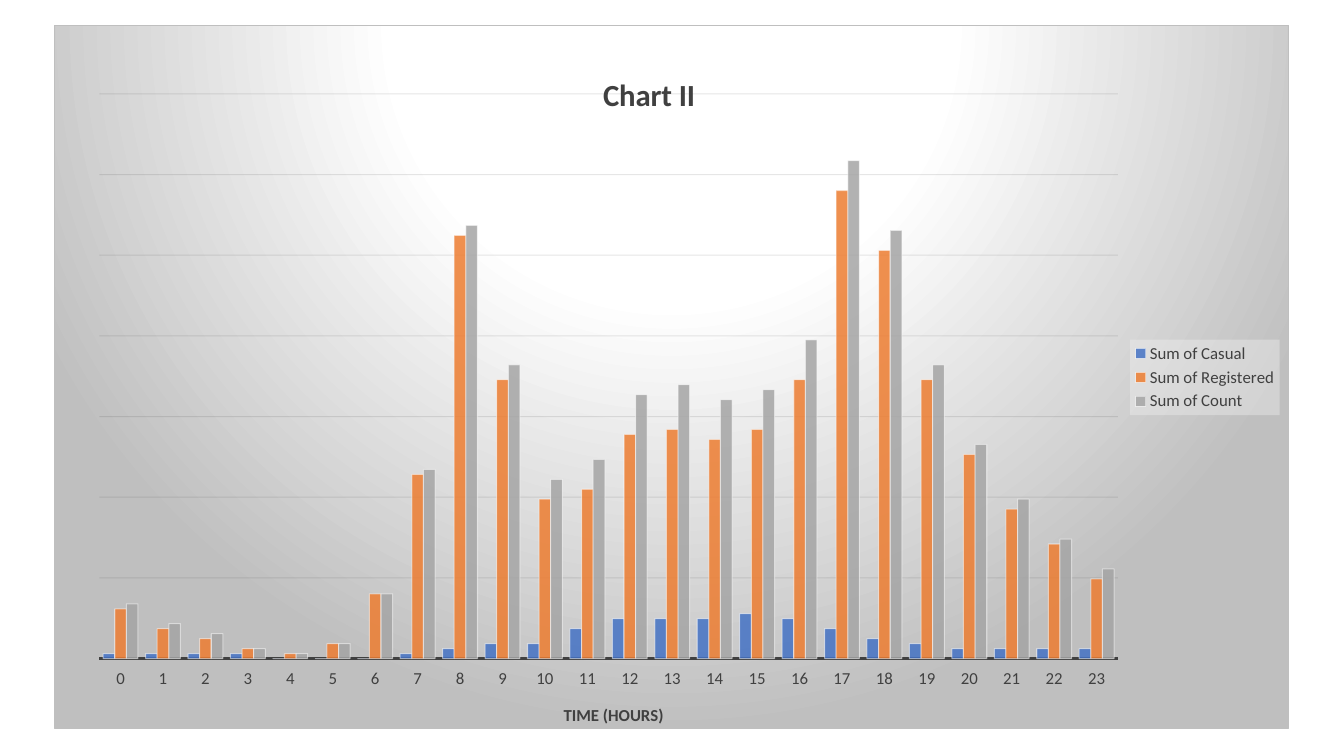
"""Build a slide with a clustered column chart of rentals by hour of day."""
from dataclasses import dataclass
from typing import Any

from pptx import Presentation
from pptx.chart.data import CategoryChartData as ChartData
from pptx.dml.color import RGBColor as Rgb
from pptx.enum.chart import XL_CHART_TYPE as ChartType
from pptx.enum.chart import XL_LEGEND_POSITION as LegendPosition
from pptx.enum.chart import XL_TICK_LABEL_POSITION as LabelPosition
from pptx.enum.chart import XL_TICK_MARK as TickMark
from pptx.oxml import parse_xml
from pptx.oxml.ns import nsdecls, qn
from pptx.util import Inches, Pt

COLORS = {
    "casual": "4472C4",
    "registered": "ED7D31",
    "count": "A5A5A5",
    "text": "404040",
    "grid": "0D0D0D",
    "white": "FFFFFF",
    "border": "BFBFBF",
    "legend": "F2F2F2",
}


@dataclass(frozen=True)
class Measure:
    """One data series and its colour."""

    name: str
    color: str
    values: tuple[int, ...]


MEASURES = (
    Measure("Sum of Casual", "casual",
            (1, 1, 1, 1, 0, 0, 0, 1, 2, 3, 3, 6, 8, 8, 8, 9, 8, 6, 4, 3, 2, 2, 2, 2)),
    Measure("Sum of Registered", "registered",
            (10, 6, 4, 2, 1, 3, 13, 37, 85, 56, 32, 34,
             45, 46, 44, 46, 56, 94, 82, 56, 41, 30, 23, 16)),
    Measure("Sum of Count", "count",
            (11, 7, 5, 2, 1, 3, 13, 38, 87, 59, 36, 40,
             53, 55, 52, 54, 64, 100, 86, 59, 43, 32, 24, 18)),
)


def set_values(target: Any, values: dict[str, Any]) -> None:
    """Set each named attribute on the target."""
    for name, value in values.items():
        setattr(target, name, value)


def style_font(font: Any, size: int, bold: bool = False) -> None:
    """Apply the chart's text style."""
    set_values(font, {"name": "Calibri", "size": Pt(size), "bold": bold})
    font.color.rgb = Rgb.from_string(COLORS["text"])


def style_line(line: Any, color: str, width: float) -> None:
    """Apply a solid line."""
    line.color.rgb = Rgb.from_string(COLORS[color])
    line.width = Pt(width)


def set_alpha(element: Any, fill_query: str, percent: int) -> None:
    """Make the colours found by the query partly transparent."""
    for color in element.xpath(f"{fill_query}/a:srgbClr"):
        color.append(parse_xml(f'<a:alpha {nsdecls("a")} val="{percent * 1000}"/>'))


def place(element: Any, index: int, inner: bool = False, **box: float) -> None:
    """Give a chart part a fixed place in fractions of the chart."""
    for layout in element.findall(qn("c:layout")):
        element.remove(layout)
    target = '<c:layoutTarget val="inner"/>' if inner else ""
    modes = "".join(f'<c:{key}Mode val="edge"/>' for key in ("x", "y"))
    sizes = "".join(f'<c:{key} val="{value}"/>' for key, value in box.items())
    element.insert(index, parse_xml(
        f'<c:layout {nsdecls("c")}><c:manualLayout>{target}{modes}{sizes}'
        "</c:manualLayout></c:layout>"))


def add_background(element: Any, content: str) -> None:
    """Insert shape properties before the text properties of a chart part."""
    element.find(qn("c:txPr")).addprevious(
        parse_xml(f'<c:spPr {nsdecls("c", "a")}>{content}</c:spPr>'))


def solid_xml(color: str, alpha: int = 100) -> str:
    """Return the XML of a solid fill."""
    return (f'<a:solidFill><a:srgbClr val="{COLORS[color]}">'
            f'<a:alpha val="{alpha * 1000}"/></a:srgbClr></a:solidFill>')


def gradient_xml() -> str:
    """Return the XML of the radial chart background."""
    stops = "".join(
        f'<a:gs pos="{position * 1000}"><a:srgbClr val="{COLORS[color]}"/></a:gs>'
        for position, color in ((0, "white"), (39, "white"), (100, "border")))
    return (f'<a:gradFill><a:gsLst>{stops}</a:gsLst><a:path path="circle">'
            '<a:fillToRect l="50000" t="-80000" r="50000" b="180000"/>'
            "</a:path></a:gradFill>")


def add_title(owner: Any, title: Any, text: str, size: int, x: float, y: float) -> None:
    """Write a bold title at a fixed place."""
    owner.has_title = True
    frame = title.text_frame
    frame.text = text
    style_font(frame.paragraphs[0].runs[0].font, size, bold=True)
    place(frame._txBody.getparent().getparent(), 1, x=x, y=y)


def style_axes(chart: Any) -> None:
    """Format the hour axis and the hidden value axis."""
    hours, amounts = chart.category_axis, chart.value_axis
    set_values(hours, {"major_tick_mark": TickMark.NONE,
                       "minor_tick_mark": TickMark.NONE,
                       "tick_label_position": LabelPosition.LOW,
                       "has_major_gridlines": False})
    style_font(hours.tick_labels.font, 12)
    style_line(hours.format.line, "text", 1.5)
    add_title(hours, hours.axis_title, "TIME (HOURS)", 12, 0.41, 0.96)
    set_values(amounts, {"visible": False, "minimum_scale": 0,
                         "maximum_scale": 113.4, "major_unit": 16.2,
                         "has_major_gridlines": True})
    style_line(amounts.major_gridlines.format.line, "grid", 0.75)
    set_alpha(chart.element, ".//c:majorGridlines//a:solidFill", 10)


def style_columns(plot: Any) -> None:
    """Colour the columns of each measure."""
    set_values(plot, {"gap_width": 65, "overlap": 0, "vary_by_categories": False})
    for series, measure in zip(plot.series, MEASURES):
        series.format.fill.solid()
        series.format.fill.fore_color.rgb = Rgb.from_string(COLORS[measure.color])
        style_line(series.format.line, "white", 0.75)
        set_alpha(series._element, "c:spPr/a:solidFill", 85)
        set_alpha(series._element, "c:spPr/a:ln/a:solidFill", 50)


def add_hourly_chart(slide: Any) -> None:
    """Add the chart of all measures by hour."""
    data = ChartData()
    data.categories = [str(hour) for hour in range(24)]
    for measure in MEASURES:
        data.add_series(measure.name, measure.values)
    chart = slide.shapes.add_chart(
        ChartType.COLUMN_CLUSTERED, Inches(0.54), Inches(0.25),
        Inches(12.24), Inches(7), data).chart
    style_font(chart.font, 10)
    add_background(chart.element, gradient_xml()
                   + f'<a:ln w="9525">{solid_xml("border")}</a:ln>')
    add_title(chart, chart.chart_title, "Chart II", 22, 0.44, 0.06)
    style_axes(chart)
    style_columns(chart.plots[0])
    place(chart.element.xpath("c:chart/c:plotArea")[0], 0, inner=True,
          x=0.036, y=0.097, w=0.826, h=0.803)
    chart.has_legend = True
    set_values(chart.legend, {"position": LegendPosition.RIGHT,
                              "include_in_layout": False})
    style_font(chart.legend.font, 12)
    add_background(chart.element.xpath("c:chart/c:legend")[0], solid_xml("legend", 39))


def main() -> None:
    """Create and save the presentation."""
    presentation = Presentation()
    set_values(presentation, {"slide_width": Inches(13.33),
                              "slide_height": Inches(7.5)})
    slide = presentation.slides.add_slide(presentation.slide_layouts[6])
    add_hourly_chart(slide)
    presentation.save("out.pptx")


if __name__ == "__main__":
    main()
